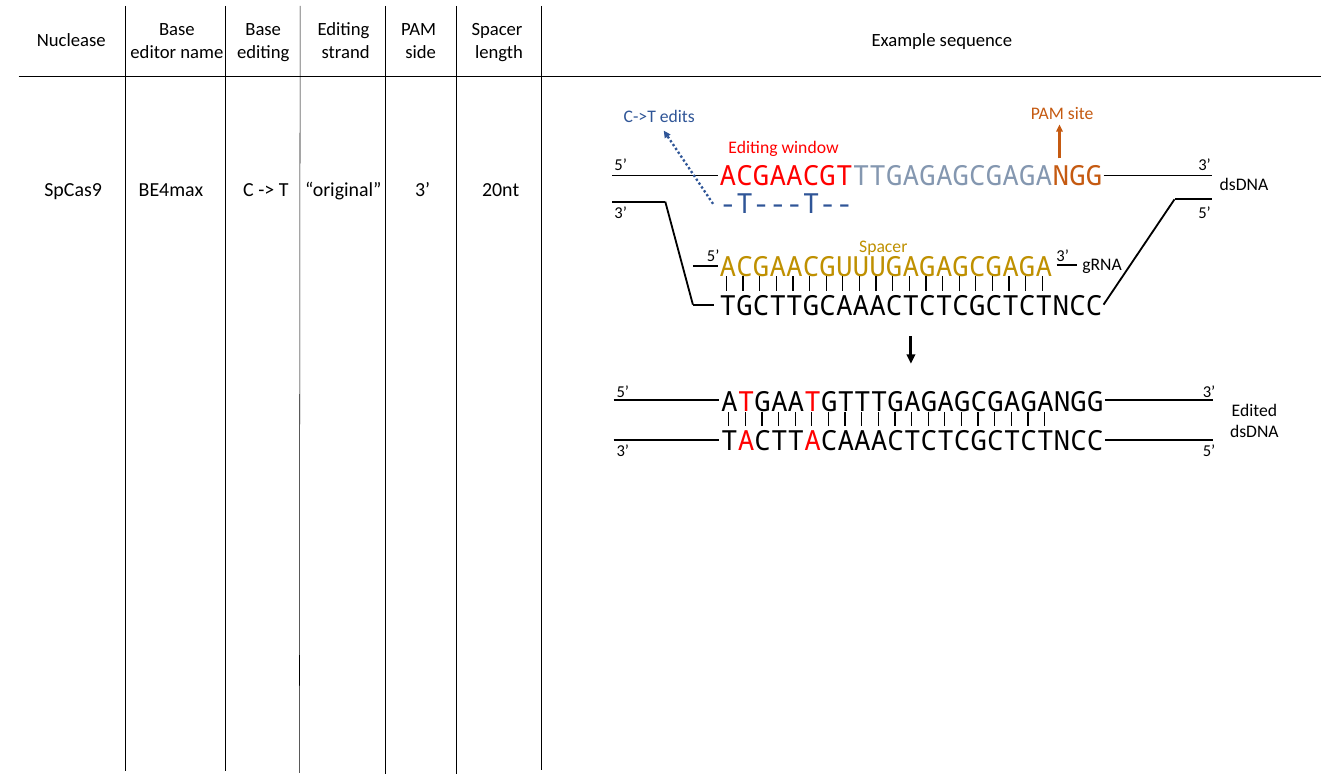
import lxml.etree
import pptx
import pptx.dml.color
import pptx.enum.dml
import pptx.enum.shapes
import pptx.enum.text
import pptx.oxml.ns
import pptx.util

COLUMNS, ROWS = 18, 10.5
BLACK, RED, BLUE = "000000", "FF0000", "2F5597"
ORANGE, GOLD, GREY = "C55A11", "BF9000", "8497B0"
SANS, MONO = "Calibri", "Noto Sans Mono"


def colour(value):
    return pptx.dml.color.RGBColor.from_string(value)


class Diagram:
    """Draws text, lines and base pairs on one slide, placed in grid columns and rows."""

    def __init__(self, deck):
        deck.slide_width = pptx.util.Inches(COLUMNS)
        deck.slide_height = pptx.util.Inches(ROWS)
        self.column = deck.slide_width / COLUMNS
        self.row = deck.slide_height / ROWS
        self.page = deck.slides.add_slide(deck.slide_layouts[6])

    def place(self, column, row):
        return round(column * self.column), round(row * self.row)

    def text(self, column, row, width, height, lines, size, font=SANS,
             centred=True, wrap=True):
        box = self.page.shapes.add_textbox(
            *self.place(column, row), *self.place(width, height))
        frame = box.text_frame
        frame.word_wrap = wrap
        frame.auto_size = pptx.enum.text.MSO_AUTO_SIZE.SHAPE_TO_FIT_TEXT
        align = pptx.enum.text.PP_ALIGN
        for index, spans in enumerate(lines):
            para = frame.add_paragraph() if index else frame.paragraphs[0]
            para.alignment = align.CENTER if centred else align.LEFT
            para.font.name = font
            para.font.size = pptx.util.Pt(size)
            for words, tint in spans:
                span = para.add_run()
                span.text = words
                span.font.color.rgb = colour(tint)

    def header(self, column, row, width, height, *lines):
        self.text(column, row, width, height,
                  [[(line, BLACK)] for line in lines], 18, wrap=False)

    def value(self, column, width, words):
        self.text(column, 2.31, width, 0.42, [[(words, BLACK)]], 19.2)

    def label(self, column, row, width, *lines, tint=BLACK):
        self.text(column, row, width, 0.11 + 0.28 * len(lines),
                  [[(line, tint)] for line in lines], 17)

    def end(self, column, row, words):
        self.text(column, row, 0.48, 0.37, [[(words, BLACK)]], 16, centred=False)

    def sequence(self, column, row, width, *spans):
        self.text(column, row, width, 0.55, [spans], 26.7, MONO, centred=False)

    def line(self, start, stop, weight=1.75, tint=BLACK, arrow=False,
             dotted=False, shapes=None):
        straight = pptx.enum.shapes.MSO_CONNECTOR.STRAIGHT
        link = (shapes or self.page.shapes).add_connector(
            straight, *self.place(*start), *self.place(*stop))
        link.line.width = pptx.util.Pt(weight)
        link.line.color.rgb = colour(tint)
        if dotted:
            link.line.dash_style = pptx.enum.dml.MSO_LINE.ROUND_DOT
        name = pptx.oxml.ns.qn
        properties = link._element.spPr
        if arrow:
            outline = properties.find(name("a:ln"))
            lxml.etree.SubElement(outline, name("a:tailEnd"), type="triangle")
        lxml.etree.SubElement(properties, name("a:effectLst"))

    def strand(self, *points):
        for start, stop in zip(points, points[1:]):
            self.line(start, stop)

    def base_pairs(self, first, top, bottom, count=20, step=0.2226):
        group = self.page.shapes.add_group_shape()
        for index in range(count):
            column = first + index * step
            self.line((column, top), (column, bottom), 1.25, shapes=group.shapes)


deck = pptx.Presentation()
diagram = Diagram(deck)

diagram.line((0.25, 1.02), (17.69, 1.02), 0.5)
for top, foot, depth in [(1.68, 1.68, 10.33), (3.02, 3.02, 10.33),
                         (4.02, 4.01, 10.35), (5.16, 5.16, 10.36),
                         (6.11, 6.11, 10.36), (7.25, 7.25, 10.31)]:
    diagram.line((top, 0.08), (foot, depth), 0.5)

diagram.header(0.39, 0.33, 1.13, 0.4, "Nuclease")
diagram.header(11.56, 0.33, 2.11, 0.4, "Example sequence")
for column, width, lines in [(1.64, 1.46, ("Base", "editor name")),
                             (3.07, 0.91, ("Base", "editing")),
                             (4.15, 0.96, ("Editing ", "strand")),
                             (5.27, 0.73, ("PAM ", "side")),
                             (6.21, 0.95, ("Spacer ", "length"))]:
    diagram.header(column, 0.18, width, 0.71, *lines)

for column, width, words in [(0.39, 1.18, "SpCas9"), (1.7, 1.18, "BE4max"),
                             (2.97, 1.18, "C -> T"), (3.96, 1.28, "“original”"),
                             (5.07, 1.18, "3’"), (6.27, 0.87, "20nt")]:
    diagram.value(column, width, words)

diagram.sequence(9.54, 3.28, 5.45, ("ACGAACGUUUGAGAGCGAGA", GOLD))
diagram.sequence(9.54, 2.07, 5.45, ("ACGAACGT", RED), ("TTGAGAGCGAGA", GREY),
                 ("NGG", ORANGE))
diagram.sequence(9.54, 2.44, 2.02, ("-T---T--", BLUE))
diagram.sequence(9.54, 3.81, 5.34, ("TGCTTGCAAACTCTCGCTCT", BLACK))
diagram.sequence(14, 3.81, 0.93, ("NCC", BLACK))
diagram.sequence(9.56, 5.09, 5.45, ("A", BLACK), ("T", RED), ("GAA", BLACK),
                 ("T", RED), ("GTTTGAGAGCGAGANGG", BLACK))
diagram.sequence(9.56, 5.61, 5.34, ("T", BLACK), ("A", RED), ("CTT", BLACK),
                 ("A", RED), ("CAAACTCTCGCTCTNCC", BLACK))
diagram.base_pairs(9.73, 3.7, 3.9)
diagram.base_pairs(9.76, 5.52, 5.71)

diagram.strand((8.2, 2.35), (9.61, 2.35))
diagram.strand((14.78, 2.35), (16.23, 2.35))
diagram.strand((8.2, 2.7), (8.91, 2.7), (9.28, 4.08), (9.56, 4.08))
diagram.strand((16.23, 2.67), (15.73, 2.67), (14.78, 4.08))
diagram.strand((9.28, 3.56), (9.61, 3.56))
diagram.strand((14.15, 3.55), (14.43, 3.55))
for row in (5.36, 5.89):
    diagram.strand((8.22, row), (9.63, row))
    diagram.strand((14.8, row), (16.25, row))

for left, right, top, bottom in [(8.13, 15.95, 2.01, 2.65),
                                 (8.16, 16.01, 5.05, 5.84)]:
    diagram.end(left, top, "5’")
    diagram.end(right, top, "3’")
    diagram.end(left, bottom, "3’")
    diagram.end(right, bottom, "5’")
diagram.end(9.37, 3.23, "5’")
diagram.end(14.05, 3.23, "3’")

diagram.line((14.19, 2.12), (14.19, 1.67), 2.25, ORANGE, arrow=True)
diagram.line((9.55, 2.73), (8.89, 1.75), 2.25, BLUE, arrow=True, dotted=True)
diagram.line((12.2, 4.5), (12.2, 4.87), 3, arrow=True)

diagram.label(13.3, 1.31, 1.85, "PAM site", tint=ORANGE)
diagram.label(8.21, 1.36, 1.24, "C->T edits", tint=BLUE)
diagram.label(9.57, 1.77, 1.85, "Editing window", tint=RED)
diagram.label(11.24, 3.1, 1.18, "Spacer", tint=GOLD)
diagram.label(14.17, 3.34, 1.18, "gRNA")
diagram.label(16.07, 2.27, 1.18, "dsDNA")
diagram.label(16.21, 5.29, 1.18, "Edited", "dsDNA")

deck.save("out.pptx")
